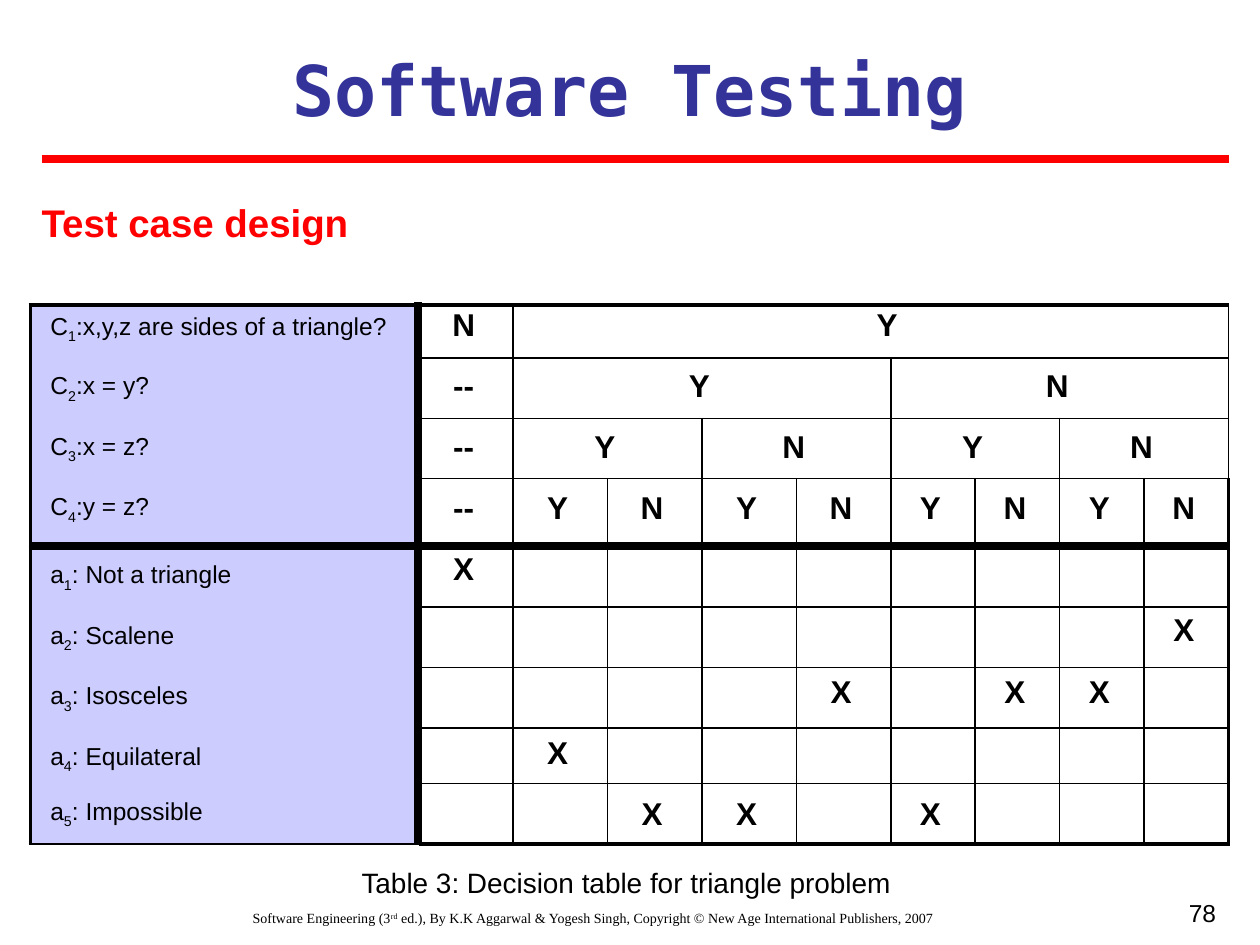
from itertools import accumulate

from lxml import etree
from pptx import Presentation, util as u
from pptx.dml.color import RGBColor
from pptx.enum import shapes, text
from pptx.oxml import ns

BLACK, RED, NAVY, LILAC = "000000", "FF0000", "333399", "CCCCFF"
CENTER, LEFT = text.PP_ALIGN.CENTER, text.PP_ALIGN.LEFT
JUSTIFY, RIGHT = text.PP_ALIGN.JUSTIFY, text.PP_ALIGN.RIGHT
rgb = RGBColor.from_string

deck = Presentation()
deck.slide_width, deck.slide_height = u.Inches(10), u.Inches(7.5)
page = deck.slides.add_slide(deck.slide_layouts[5])


def write(spans, place, size, align=LEFT, color=BLACK, font="Arial", bold=False,
          inset=0, box=None):
    """Fill a text box (new unless given) with (words, baseline) spans."""
    place = [u.Inches(value) for value in place]
    if box is None:
        box = page.shapes.add_textbox(*place)
    box.left, box.top, box.width, box.height = place
    frame = box.text_frame
    frame.word_wrap = True
    frame.auto_size = text.MSO_AUTO_SIZE.SHAPE_TO_FIT_TEXT
    frame.margin_left = frame.margin_right = u.Inches(inset)
    frame.margin_top = frame.margin_bottom = u.Inches(inset / 2)
    para = frame.paragraphs[0]
    para.alignment = align
    for words, baseline in spans:
        span = para.add_run()
        span.text = words
        span.font.name, span.font.size, span.font.bold = font, u.Pt(size), bold
        span.font.color.rgb = rgb(color)
        if baseline:
            span.font._element.set("baseline", str(baseline * 1000))


def rule(x1, y1, x2, y2, color):
    line = page.shapes.add_connector(
        shapes.MSO_CONNECTOR.STRAIGHT, *[u.Inches(value) for value in (x1, y1, x2, y2)])
    line.line.color.rgb = rgb(color)
    line.line.width = u.Pt(4.5)
    etree.SubElement(line._element.spPr, ns.qn("a:effectLst"))


# Heading
write([("Software Testing", 0)], (0.33, 0.32, 9.33, 0.77), 40, CENTER, NAVY,
      "DejaVu Sans Mono", True, 0.1, page.shapes.title)
rule(0.33, 1.26, 9.75, 1.26, RED)
write([("Test case design", 0)], (0.33, 1.58, 9.28, 0.37), 22, JUSTIFY, RED, bold=True)

# Decision table: one label column, one N column, eight Y/N columns
widths = [3.09, 0.74] + [0.75] * 4 + [0.67] * 4
heights = [0.42, 0.48, 0.48, 0.54, 0.48, 0.48, 0.48, 0.44, 0.48]
lefts = list(accumulate(widths, initial=0.24))
tops = list(accumulate(heights, initial=2.42))
last_row, last_column = len(heights) - 1, len(widths) - 1
frame = page.shapes.add_table(
    len(heights), len(widths), u.Inches(lefts[0]), u.Inches(tops[0]),
    u.Inches(sum(widths)), u.Inches(sum(heights)))
table = frame.table
table.first_row = table.horz_banding = False
for column, width in zip(table.columns, widths):
    column.width = u.Inches(width)
for row, height in zip(table.rows, heights):
    row.height = u.Inches(height)

# Fills and borders, heavier around the outside
for r in range(len(heights)):
    for c in range(len(widths)):
        cell = table.cell(r, c)
        if c == 0:
            cell.fill.solid()
            cell.fill.fore_color.rgb = rgb(LILAC)
        else:
            cell.fill.background()
        outer = {"L": c == 0, "R": c == last_column, "T": r == 0, "B": r == last_row}
        properties = cell._tc.get_or_add_tcPr()
        for position, (side, heavy) in enumerate(outer.items()):
            edge = etree.Element(ns.qn("a:ln" + side), w=str(u.Pt(2.25 if heavy else 1)))
            paint = etree.SubElement(edge, ns.qn("a:solidFill"))
            etree.SubElement(paint, ns.qn("a:srgbClr"), val=BLACK)
            properties.insert(position, edge)

# Merged cells: label blocks, then condition groups that halve row by row
table.cell(0, 0).merge(table.cell(3, 0))
table.cell(4, 0).merge(table.cell(last_row, 0))
marks = []
for r, (first, span) in enumerate([("N", 8), ("--", 4), ("--", 2), ("--", 1)]):
    marks.append((first, r, 1, 1))
    for group in range(8 // span):
        start = 2 + group * span
        if span > 1:
            table.cell(r, start).merge(table.cell(r, start + span - 1))
        marks.append(("YN"[group % 2], r, start, span))

# Actions: row and the columns that lead to it
actions = {4: [1], 5: [9], 6: [5, 7, 8], 7: [2], 8: [3, 4, 6]}
marks += [("X", r, c, 1) for r, columns in actions.items() for c in columns]

# Marks sit at an even pitch, centred on their columns
for mark, r, c, span in marks:
    center = (lefts[c] + lefts[c + span]) / 2 - 0.02
    if span == 8:
        center += 0.15
    write([(mark, 0)], (center - 0.125, 2.42 + r * 0.97 / 2, 0.25, 0.3), 18, CENTER,
          bold=True)

# Row labels with subscript numbers
labels = [("C", "1", ":x,y,z are sides of a triangle?"), ("C", "2", ":x = y?"),
          ("C", "3", ":x = z?"), ("C", "4", ":y = z?"),
          ("a", "1", ": Not a triangle"), ("a", "2", ": Scalene"),
          ("a", "3", ": Isosceles"), ("a", "4", ": Equilateral"),
          ("a", "5", ": Impossible")]
for r, (letter, number, words) in enumerate(labels):
    top = tops[r] + (0.1 if r else 0.05)
    write([(letter, 0), (number, -25), (words, 0)], (0.4, top, 2.77, 0.23), 14)

# Heavy dividers
rule(3.32, 2.4, 3.32, 6.71, BLACK)
rule(0.25, 4.33, 9.75, 4.33, BLACK)

# Caption, footer and page number
write([("Table 3: Decision table for triangle problem", 0)], (0.33, 6.87, 9.28, 0.27),
      16, CENTER)
write([("Software Engineering (3", 0), ("rd", 30),
       (" ed.), By K.K Aggarwal & Yogesh Singh, Copyright © New Age International "
        "Publishers, 2007", 0)],
      (0.25, 7.17, 8.92, 0.33), 8, CENTER, font="Times New Roman", inset=0.1)
write([("78", 0)], (7.42, 7.08, 2.33, 0.59), 14, RIGHT, inset=0.1)

deck.save("out.pptx")
